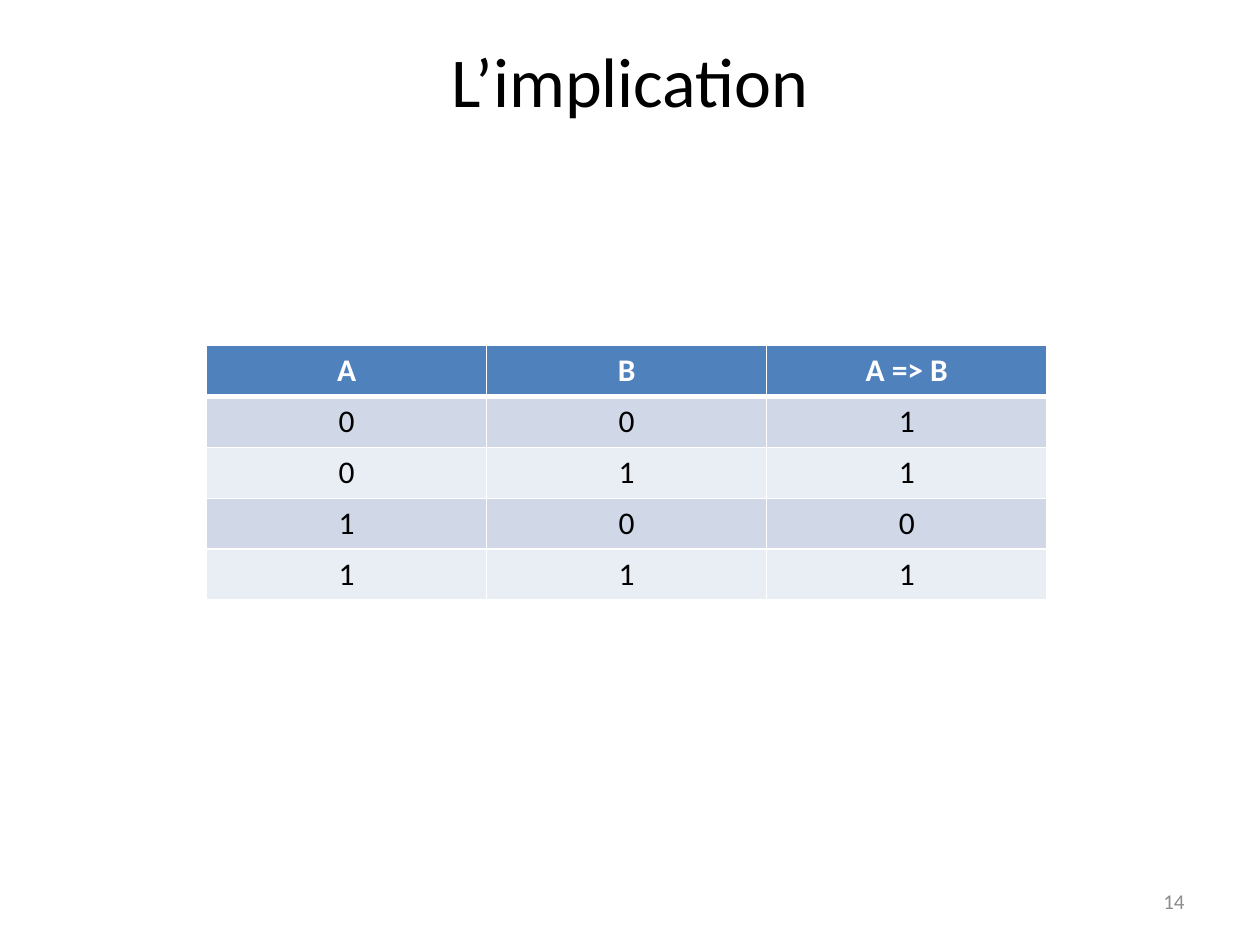
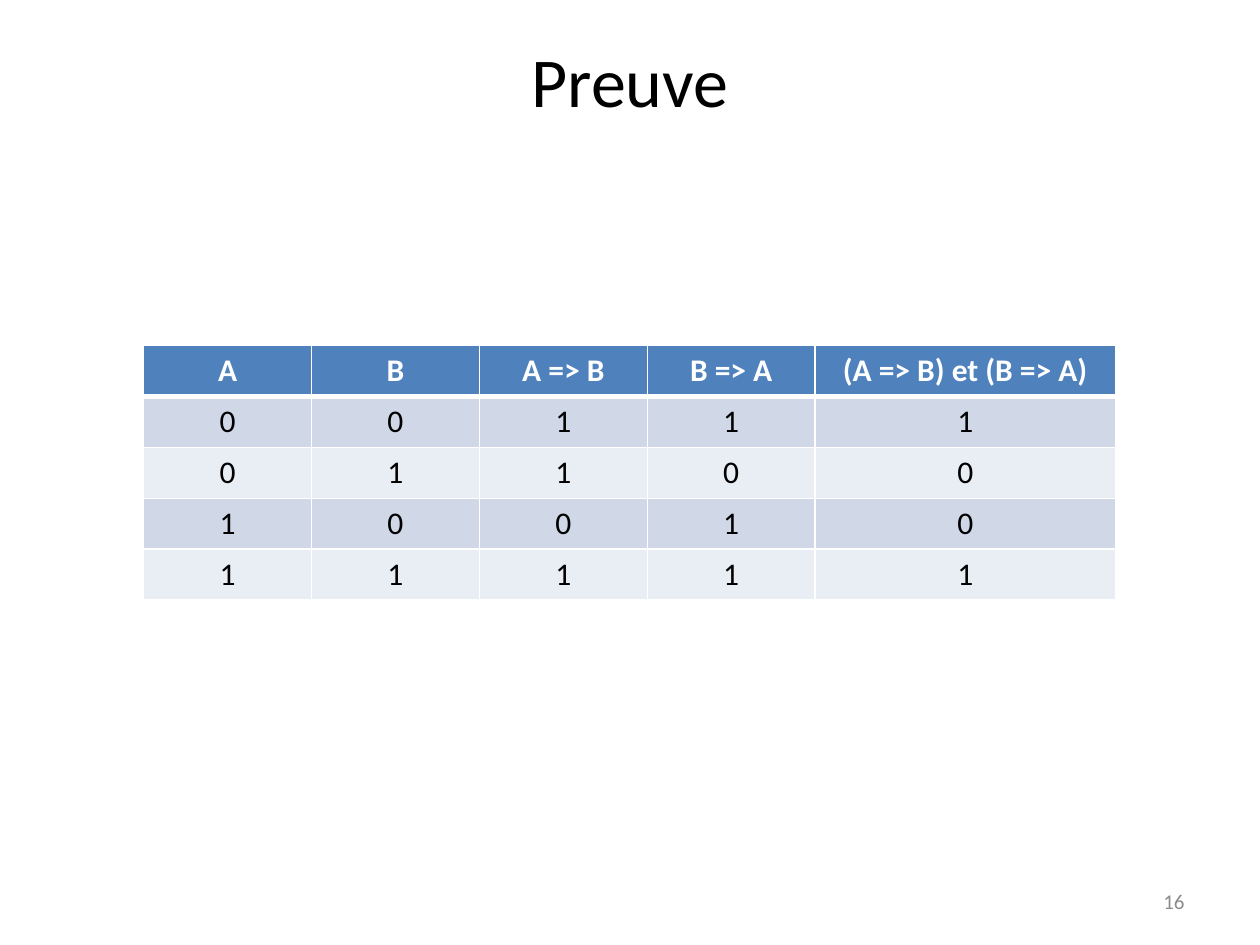
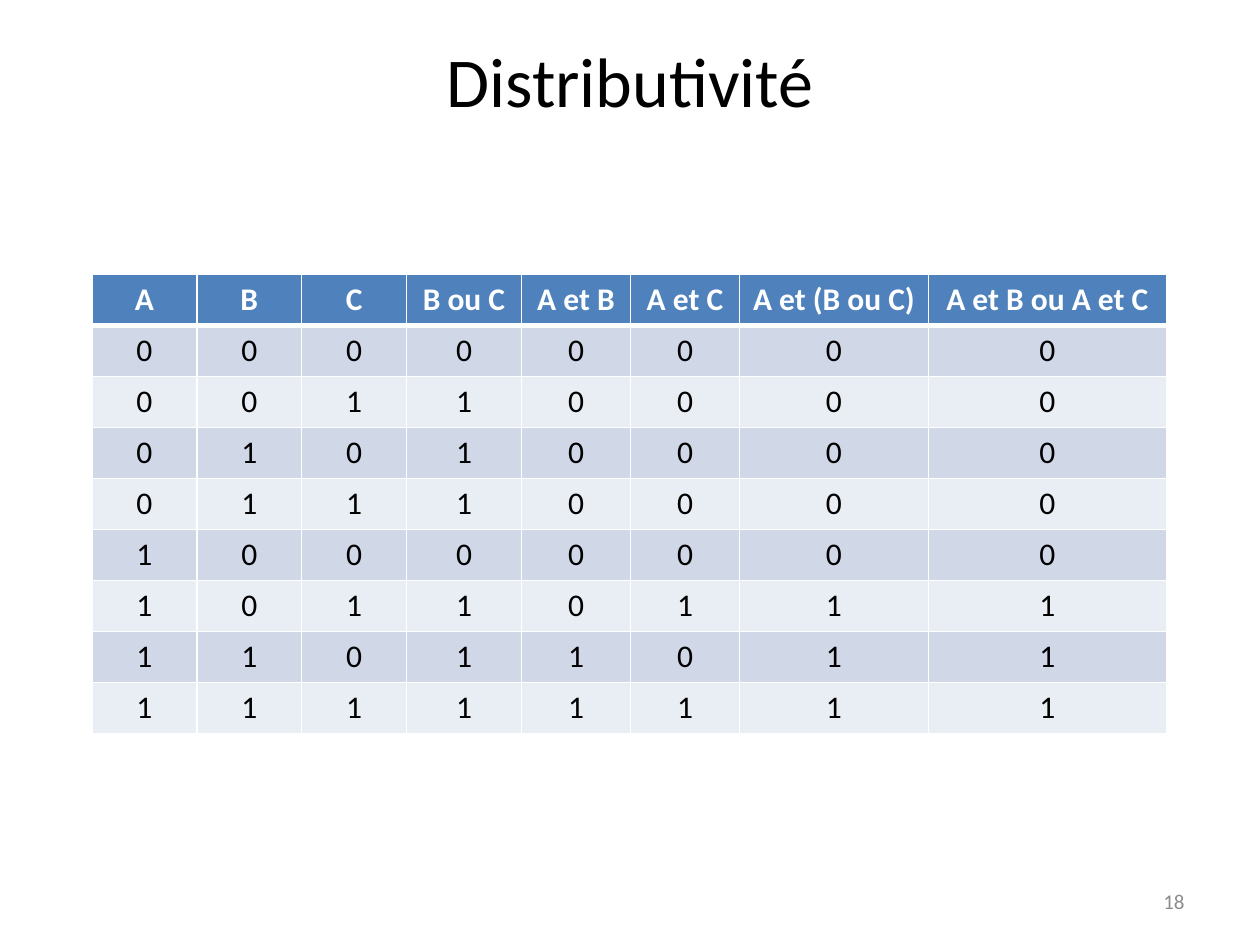
from itertools import product

from lxml.etree import SubElement
from pptx import Presentation
from pptx.dml.color import RGBColor
from pptx.enum.text import MSO_ANCHOR, PP_ALIGN
from pptx.oxml.ns import qn
from pptx.util import Inches, Pt

COLS, ROWS = 40, 30  # grid that covers the slide


def color(code):
    """Turn a hex string into a colour."""
    return RGBColor.from_string(code)


def edge(cell, side, width, code):
    """Draw one border of a table cell, width in points."""
    line = SubElement(cell._tc.get_or_add_tcPr(), qn("a:ln" + side), w=str(Pt(width)))
    fill = SubElement(line, qn("a:solidFill"))
    SubElement(fill, qn("a:srgbClr"), val=code)


class Deck:
    """Shared style and the current slide."""

    FONT = "Calibri"
    INK, PAPER, GREY = "000000", "FFFFFF", "8C8C8C"
    HEAD, BANDS = "4F81BD", ("E9EDF4", "D0D8E8")
    ROW = 1.62

    def __init__(self):
        """Start an empty deck."""
        self.deck = Presentation()
        self.deck.slide_width, self.deck.slide_height = Inches(10), Inches(7.5)
        self.slide = None

    def x(self, cols):
        """Length of a number of grid columns."""
        return round(self.deck.slide_width * cols / COLS)

    def y(self, rows):
        """Length of a number of grid rows."""
        return round(self.deck.slide_height * rows / ROWS)

    def style(self, frame, text, size, code, align, bold=False):
        """Put one styled paragraph in a text frame."""
        par = frame.paragraphs[0]
        par.text, par.alignment = text, align
        font = par.font
        font.name, font.size, font.bold = self.FONT, Pt(size), bold
        font.color.rgb = color(code)

    def label(self, spot, text, size, code, align, anchor):
        """Add a text box at a grid spot: left, top, width, height."""
        left, top, wide, high = spot
        box = self.slide.shapes.add_textbox(
            self.x(left), self.y(top), self.x(wide), self.y(high))
        frame = box.text_frame
        frame.word_wrap, frame.vertical_anchor = True, anchor
        self.style(frame, text, size, code, align)

    def page(self, title, number):
        """Add a slide with its title and page number."""
        self.slide = self.deck.slides.add_slide(self.deck.slide_layouts[6])
        fill = self.slide.background.fill
        fill.solid()
        fill.fore_color.rgb = color(self.PAPER)
        self.label((2, 1, 36, 5), title, 40, self.INK,
                   PP_ALIGN.CENTER, MSO_ANCHOR.TOP)
        self.label((28.68, 27.8, 9.32, 1.6), str(number), 12, self.GREY,
                   PP_ALIGN.RIGHT, MSO_ANCHOR.MIDDLE)

    def cell(self, cell, text, row):
        """Fill one table cell, as a header in row 0."""
        head = row == 0
        for side in "LRTB":
            thick = (side, row) in (("B", 0), ("T", 1))
            edge(cell, side, 3 if thick else 1, self.PAPER)
        cell.fill.solid()
        cell.fill.fore_color.rgb = color(self.HEAD if head else self.BANDS[row % 2])
        self.style(cell.text_frame, text, 18, self.PAPER if head else self.INK,
                   PP_ALIGN.CENTER, head)

    def truth(self, left, top, count, heads):
        """Add a truth table of count variables; heads are name, width, rule."""
        names, widths, rules = zip(*heads)
        cases = product((0, 1), repeat=count)
        lines = [names] + [[str(int(rule(*case))) for rule in rules] for case in cases]
        table = self.slide.shapes.add_table(
            len(lines), len(names), self.x(left), self.y(top),
            self.x(sum(widths)), self.y(self.ROW * len(lines))).table
        for col, width in zip(table.columns, widths):
            col.width = self.x(width)
        for row, line in enumerate(lines):
            table.rows[row].height = self.y(self.ROW)
            for col, text in enumerate(line):
                self.cell(table.cell(row, col), text, row)


deck = Deck()

deck.page("L\u2019implication", 14)
deck.truth(6.56, 10.96, 2, [
    ("A", 8.89, lambda a, b: a),
    ("B", 8.89, lambda a, b: b),
    ("A => B", 8.89, lambda a, b: a <= b),
])

deck.page("Preuve", 16)
deck.truth(4.56, 10.96, 2, [
    ("A", 5.33, lambda a, b: a),
    ("B", 5.33, lambda a, b: b),
    ("A => B", 5.33, lambda a, b: a <= b),
    ("B => A", 5.33, lambda a, b: b <= a),
    ("(A => B) et (B => A)", 9.53, lambda a, b: a == b),
])

deck.page("Distributivité", 18)
deck.truth(2.92, 8.72, 3, [
    ("A", 3.33, lambda a, b, c: a),
    ("B", 3.33, lambda a, b, c: b),
    ("C", 3.33, lambda a, b, c: c),
    ("B ou C", 3.65, lambda a, b, c: b | c),
    ("A et B", 3.46, lambda a, b, c: a & b),
    ("A et C", 3.46, lambda a, b, c: a & c),
    ("A et (B ou C)", 6, lambda a, b, c: a & (b | c)),
    ("A et B ou A et C", 7.55, lambda a, b, c: a & b | a & c),
])

deck.deck.save("out.pptx")
